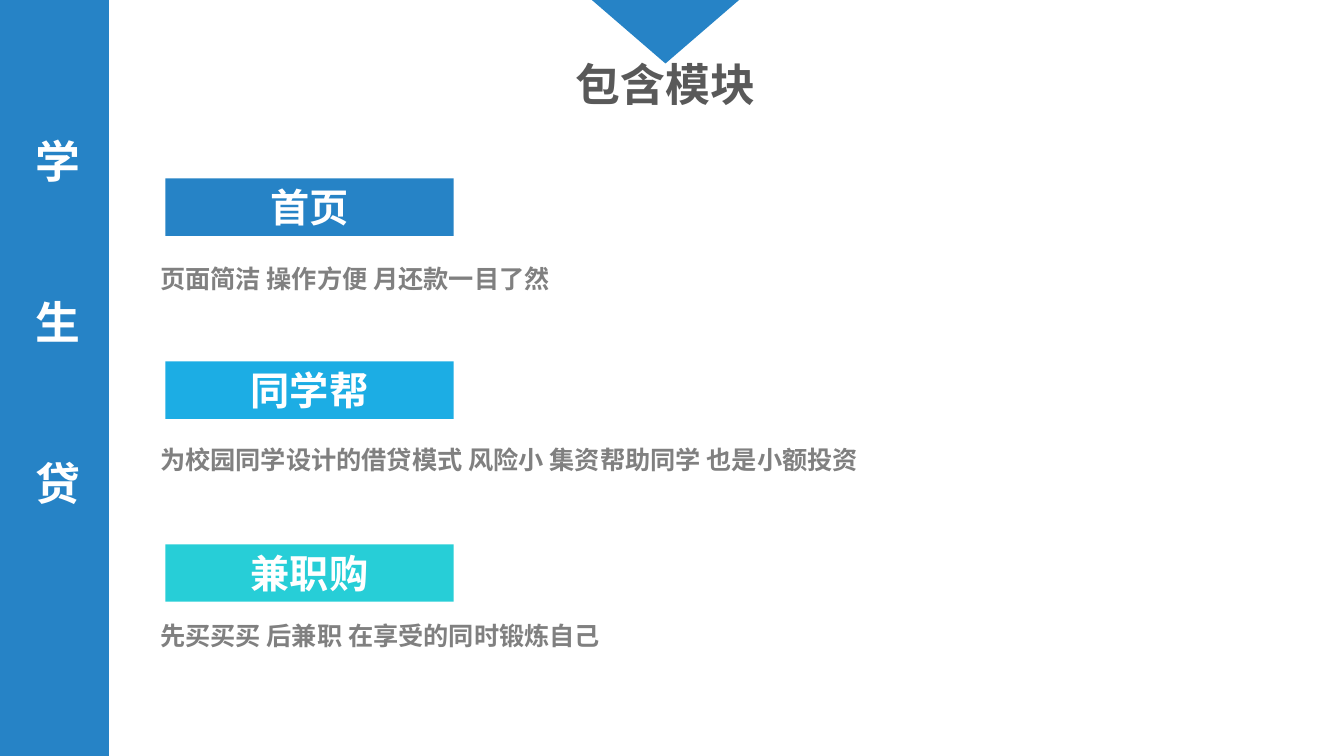
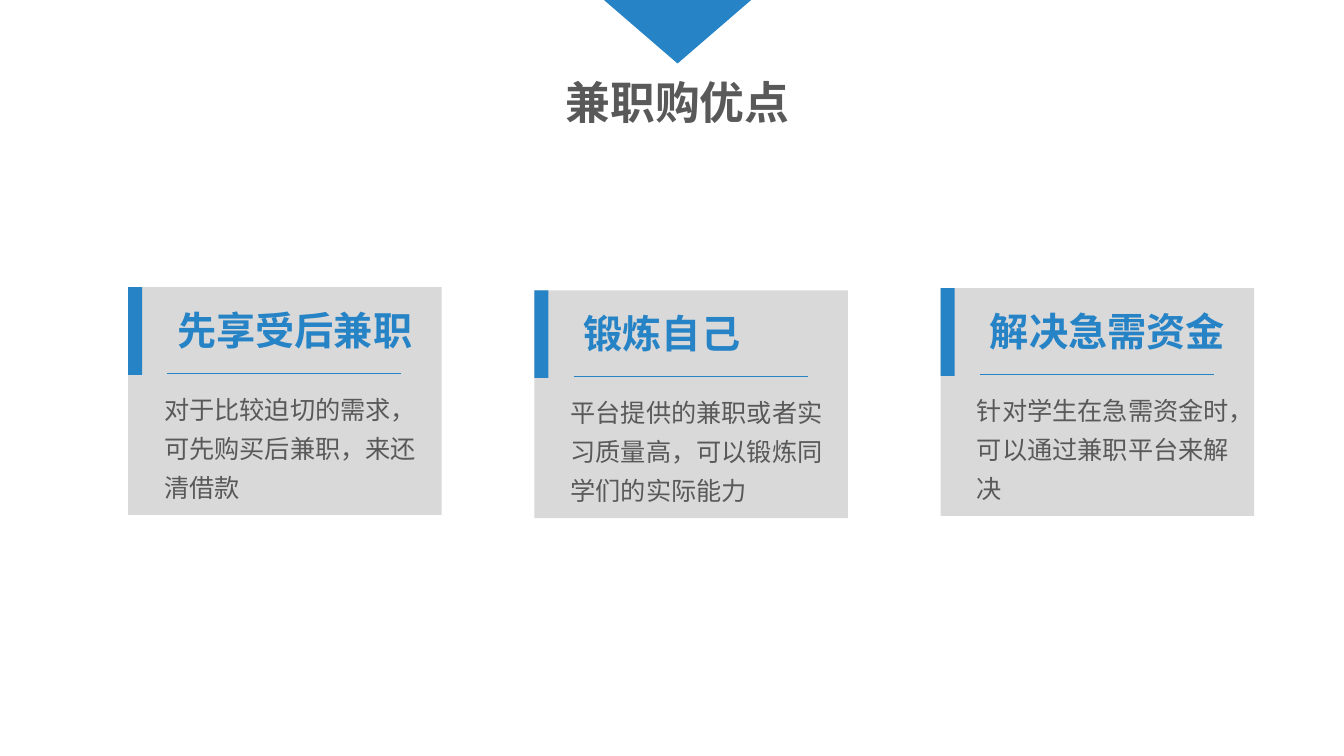
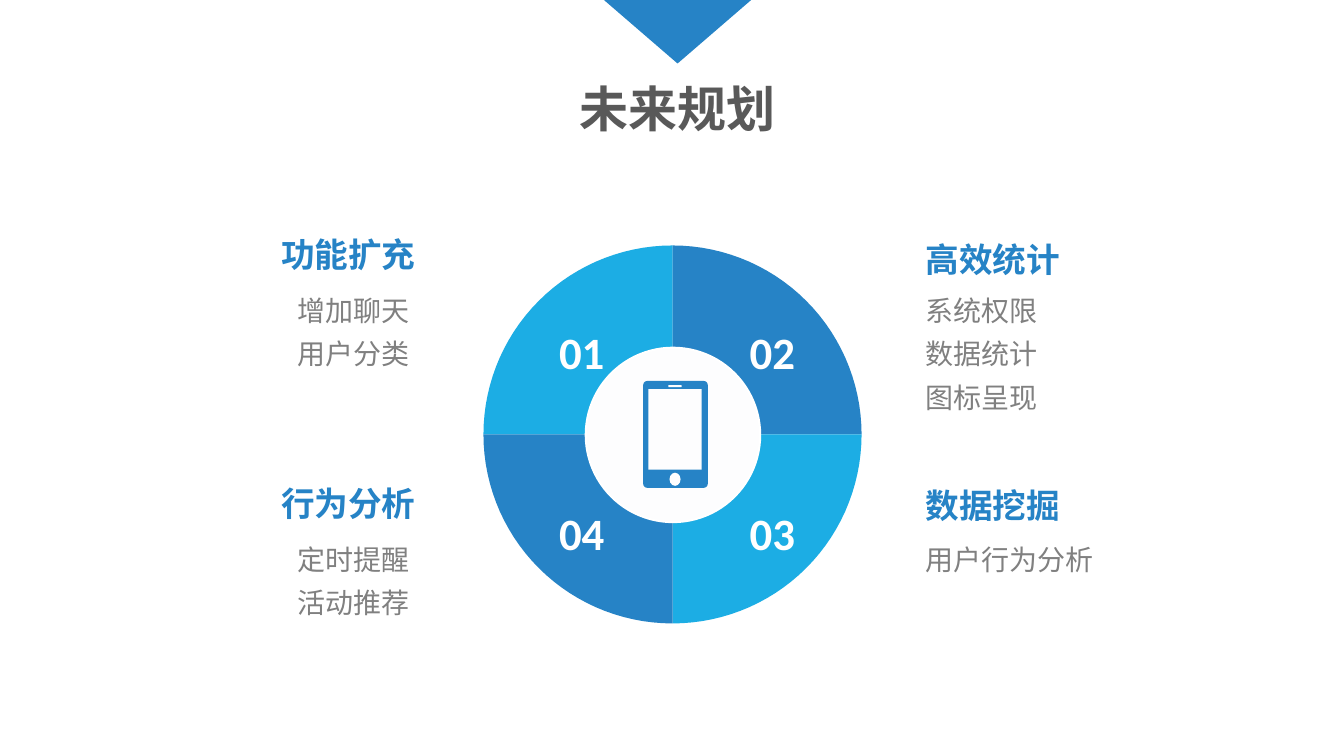
import math
from dataclasses import dataclass

from lxml import etree
from pptx import Presentation, util as u
from pptx.dml.color import RGBColor
from pptx.enum import shapes, text
from pptx.oxml.ns import qn


@dataclass(frozen=True)
class Theme:
    blue: str = "2683C6"
    sky: str = "1CADE4"
    teal: str = "27CED7"
    dark: str = "595959"
    gray: str = "808080"
    card: str = "D9D9D9"
    white: str = "FFFFFF"
    pale: str = "FDFDFE"
    main: str = "Calibri"
    han: str = "Noto Sans CJK SC"
    title: int = 32
    head: int = 28
    label: int = 24
    item: int = 20
    body: int = 18
    line: float = 1.2  # height of a single line, in ems


T = Theme()
KIND = shapes.MSO_SHAPE
ALIGN = text.PP_ALIGN
ANCHOR = text.MSO_ANCHOR


# Shared helpers
def box(x, y, w, h):
    return [u.Inches(n) for n in (x, y, w, h)]


def write(shape, words, size, color, bold=False, font=T.main,
          align=ALIGN.LEFT, lead=1.0, anchor=ANCHOR.TOP):
    frame = shape.text_frame
    frame.text = words
    frame.word_wrap = True
    frame.auto_size = text.MSO_AUTO_SIZE.NONE
    frame.vertical_anchor = anchor
    for para in frame.paragraphs:
        para.alignment = align
        para.line_spacing = u.Pt(round(size * T.line * lead, 1))
        para.space_before = u.Pt(0)
        for run in para.runs:
            run.font.size = u.Pt(size)
            run.font.bold = bold
            run.font.color.rgb = RGBColor.from_string(color)
            run.font.name = font
            east = etree.SubElement(run._r.get_or_add_rPr(), qn("a:ea"))
            east.set("typeface", T.han)


def label(slide, at, words, size, color, **style):
    write(slide.shapes.add_textbox(*box(*at)), words, size, color, **style)


def paint(shape, color):
    shape.shadow.inherit = False
    shape.fill.solid()
    shape.fill.fore_color.rgb = RGBColor.from_string(color)
    shape.line.fill.background()
    return shape


def block(slide, at, color, kind=KIND.RECTANGLE):
    return paint(slide.shapes.add_shape(kind, *box(*at)), color)


def rule(slide, x, y, w):
    line = slide.shapes.add_connector(
        shapes.MSO_CONNECTOR.STRAIGHT, *box(x, y, x + w, y))
    line.line.color.rgb = RGBColor.from_string(T.blue)
    line.line.width = u.Pt(0.5)
    etree.SubElement(line._element.spPr, qn("a:effectLst"))


def start(deck, words, mid, top, size=T.title):
    """Add a slide with the blue pointer and a title centred on mid."""
    slide = deck.slides.add_slide(deck.slide_layouts[5])
    block(slide, (mid - 0.73, 0, 1.46, 0.63), T.blue,
          KIND.ISOSCELES_TRIANGLE).rotation = 180
    title = slide.shapes.title
    title.left, title.top, title.width, title.height = box(
        mid - 1.65, top, 3.3, 0.46)
    write(title, words, size, T.dark, bold=True, align=ALIGN.CENTER, lead=0.9)
    title.text_frame.margin_top = title.text_frame.margin_bottom = u.Inches(0.05)
    return slide


# Slide 1: side band and modules
def band(slide, words):
    block(slide, (0, 0, 1.08, 7.5), T.blue)
    label(slide, (0.25, 0.21, 0.65, 6.86), words, T.title, T.white,
          bold=True, lead=3)


def module(slide, x, y, name, note, color, drop):
    tag = block(slide, (x, y, 2.86, 0.57), color)
    write(tag, name, T.head, T.white, bold=True, align=ALIGN.CENTER,
          anchor=ANCHOR.MIDDLE)
    label(slide, (x - 0.15, y + drop, 7.44, 0.49), note, T.body, T.gray,
          bold=True, font=T.han, lead=1.3)


def modules(deck):
    slide = start(deck, "包含模块", 6.6, 0.57)
    band(slide, "学生贷")
    rows = [
        ("首页", "页面简洁 操作方便 月还款一目了然", T.blue, 0.7),
        ("同学帮", "为校园同学设计的借贷模式 风险小 集资帮助同学 也是小额投资",
         T.sky, 0.68),
        ("兼职购", "先买买买 后兼职 在享受的同时锻炼自己", T.teal, 0.61),
    ]
    for i, row in enumerate(rows):
        module(slide, 1.64, 1.77 + 1.815 * i, *row)


# Slide 2: cards
def card(slide, x, y, head, body):
    block(slide, (x, y, 3.11, 2.26), T.card)
    block(slide, (x, y, 0.14, 0.87), T.blue)
    label(slide, (x + 0.39, y + 0.14, 2.82, 0.57), head, T.head, T.blue,
          bold=True)
    rule(slide, x + 0.39, y + 0.85, 2.32)
    label(slide, (x + 0.26, y + 0.92, 2.77, 1.28), body, T.body, T.dark,
          lead=1.3)


def merits(deck):
    slide = start(deck, "兼职购优点", 6.72, 0.74)
    cards = [
        (2.85, "先享受后兼职", "对于比较迫切的需求，可先购买后兼职，来还清借款"),
        (2.88, "锻炼自己", "平台提供的兼职或者实习质量高，可以锻炼同学们的实际能力"),
        (2.86, "解决急需资金", "针对学生在急需资金时，可以通过兼职平台来解决"),
    ]
    for i, (y, head, body) in enumerate(cards):
        card(slide, 1.27 + 4.03 * i, y, head, body)


# Slide 3: ring of four plans
def sector(slide, x, y, r, turn, color):
    """Draw a quarter disc around (x, y), clockwise from turn degrees."""
    arc = [math.radians(turn + 3 * i) for i in range(31)]
    points = [(u.Inches(x + r * math.cos(a)), u.Inches(y + r * math.sin(a)))
              for a in arc]
    form = slide.shapes.build_freeform(u.Inches(x), u.Inches(y))
    form.add_line_segments(points, close=True)
    paint(form.convert_to_shape(), color)


def phone(slide, x, y):
    case = block(slide, (x, y, 0.64, 1.06), T.blue, KIND.ROUNDED_RECTANGLE)
    case.adjustments[0] = 0.06
    block(slide, (x + 0.05, y + 0.08, 0.53, 0.8), T.pale)
    block(slide, (x + 0.26, y + 0.91, 0.11, 0.13), T.pale, KIND.OVAL)
    block(slide, (x + 0.25, y + 0.04, 0.13, 0.02), T.pale,
          KIND.ROUNDED_RECTANGLE)


def ring(slide, x, y, r):
    for i in range(4):
        turn = 180 + 90 * i
        sector(slide, x, y, r, turn, (T.sky, T.blue)[i % 2])
    hub = block(slide, (x - 0.86, y - 0.86, 1.73, 1.73), T.pale, KIND.OVAL)
    hub.line.color.rgb = RGBColor.from_string(T.white)
    hub.line.width = u.Pt(1.5)
    phone(slide, x - 0.29, y - 0.53)
    for i in range(4):
        left = x - 1.26 if i in (0, 3) else x + 0.63
        top = y - 1.3 if i < 2 else y + 0.5
        label(slide, (left, top, 0.72, 0.73), f"0{i + 1}", T.title, T.white,
              bold=True, align=ALIGN.CENTER, lead=1.3)


def plan(slide, side, y, rise, head, items):
    left = side == "left"
    align = ALIGN.RIGHT if left else ALIGN.LEFT
    label(slide, (2.67 if left else 9.08, y - rise, 1.55, 0.57), head,
          T.label, T.blue, bold=True, font=T.han, align=align, lead=1.3)
    label(slide, (0.83 if left else 9.08, y, 3.33, 0.1 + 0.44 * len(items)),
          "\n".join(items), T.item, T.gray, font=T.han, align=align, lead=1.3)


def future(deck):
    slide = start(deck, "未来规划", 6.72, 0.79, 35)
    ring(slide, 6.67, 4.31, 1.875)
    plans = [
        ("left", 2.76, 0.61, "功能扩充", ["增加聊天", "用户分类"]),
        ("right", 2.76, 0.56, "高效统计", ["系统权限", "数据统计", "图标呈现"]),
        ("right", 5.23, 0.59, "数据挖掘", ["用户行为分析"]),
        ("left", 5.23, 0.61, "行为分析", ["定时提醒", "活动推荐"]),
    ]
    for entry in plans:
        plan(slide, *entry)


def main():
    deck = Presentation()
    deck.slide_width, deck.slide_height = u.Inches(13.33), u.Inches(7.5)
    modules(deck)
    merits(deck)
    future(deck)
    deck.save("out.pptx")


if __name__ == "__main__":
    main()
